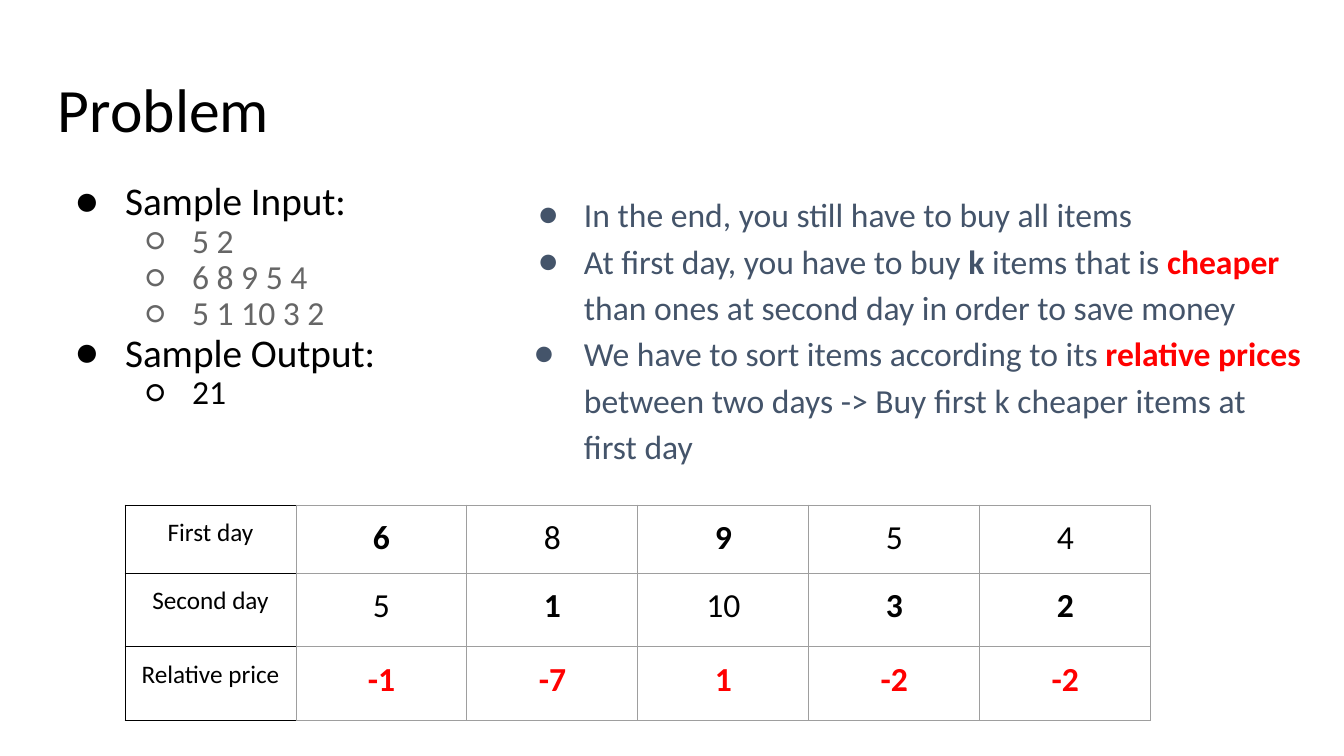
from dataclasses import dataclass
from lxml.etree import SubElement as Sub
from pptx import Presentation
from pptx.dml.color import RGBColor as Rgb
from pptx.enum.text import PP_ALIGN as Align
from pptx.oxml import parse_xml
from pptx.oxml.ns import nsdecls, qn
from pptx.util import Pt

SCALE = 914400 / 100.8


@dataclass(frozen=True)
class Theme:
    font: str = "Calibri"
    black: str = "000000"
    gray: str = "666666"
    slate: str = "44546A"
    red: str = "FF0000"
    rule: str = "9E9E9E"
    title: int = 44
    head: int = 28
    body: int = 24
    label: int = 18


THEME = Theme()
INSET = 13


def px(size):
    return round(size * SCALE)


def style(run, size, color, bold=False):
    font = run.font
    font.name = THEME.font
    font.size = Pt(size)
    font.bold = bold
    font.color.rgb = Rgb.from_string(color)


def add_box(slide, box):
    frame = slide.shapes.add_textbox(*map(px, box)).text_frame
    frame.word_wrap = True
    frame.margin_left = frame.margin_right = px(INSET)
    frame.margin_top = frame.margin_bottom = px(INSET)
    return frame


def add_bullet(para, mark, color, left, hang):
    props = para._p.get_or_add_pPr()
    props.set("marL", str(px(left)))
    props.set("indent", str(-px(hang)))
    tint = Sub(props, qn("a:buClr"))
    Sub(tint, qn("a:srgbClr")).set("val", color)
    Sub(props, qn("a:buFont")).set("typeface", THEME.font)
    Sub(props, qn("a:buChar")).set("char", mark)


def next_para(frame, index):
    return frame.add_paragraph() if index else frame.paragraphs[0]


def add_title(slide, box, text):
    para = add_box(slide, box).paragraphs[0]
    para.text = text
    para.line_spacing = 0.9
    style(para.runs[0], THEME.title, THEME.black)


def add_sample(slide, box, lines):
    frame = add_box(slide, box)
    for index, (level, text, color) in enumerate(lines):
        para = next_para(frame, index)
        para.text = text
        para.level = level
        para.line_spacing = 0.9
        mark, left, hang, size = (("●", 67, 50, THEME.head),
                                  ("○", 134, 46, THEME.body))[level]
        add_bullet(para, mark, color, left, hang)
        style(para.runs[0], size, color)


def add_notes(slide, box, points):
    frame = add_box(slide, box)
    for index, (hang, parts) in enumerate(points):
        para = next_para(frame, index)
        para.line_spacing = 1.15
        add_bullet(para, "●", THEME.slate, 67, hang)
        for text, color, bold in parts:
            run = para.add_run()
            run.text = text
            style(run, THEME.body, color, bold)


def add_rules(cell, first):
    props = cell._tc.get_or_add_tcPr()
    for spot, side in enumerate("LRTB"):
        color = THEME.black if first and side != "R" else THEME.rule
        line = parse_xml(
            f'<a:ln{side} {nsdecls("a")} w="9525"><a:solidFill>'
            f'<a:srgbClr val="{color}"/></a:solidFill></a:ln{side}>')
        props.insert(spot, line)


def add_prices(slide, box, rows, heights):
    grid = slide.shapes.add_table(len(rows), len(rows[0][0]), *map(px, box)).table
    grid.first_row = grid.horz_banding = False
    for col in grid.columns:
        col.width = px(box[2] // len(grid.columns))
    for r, (texts, color, strong) in enumerate(rows):
        grid.rows[r].height = px(heights[r])
        for c, text in enumerate(texts):
            cell = grid.cell(r, c)
            cell.fill.background()
            cell.margin_left = cell.margin_right = px(INSET)
            cell.margin_top = cell.margin_bottom = px(INSET)
            para = cell.text_frame.paragraphs[0]
            para.text = text
            para.alignment = Align.CENTER
            size = THEME.body if c else THEME.label
            style(para.runs[0], size, color if c else THEME.black, c in strong)
            add_rules(cell, c == 0)


def main():
    deck = Presentation()
    deck.slide_width, deck.slide_height = px(1344), px(756)
    slide = deck.slides.add_slide(deck.slide_layouts[6])
    black, gray, slate, red = THEME.black, THEME.gray, THEME.slate, THEME.red
    add_title(slide, (45, 66, 1252, 85), "Problem")
    add_sample(slide, (45, 169, 528, 299), [
        (0, "Sample Input:", black),
        (1, "5 2", gray),
        (1, "6 8 9 5 4", gray),
        (1, "5 1 10 3 2", gray),
        (0, "Sample Output:", black),
        (1, "21", black),
    ])
    add_notes(slide, (504, 175, 812, 555), [
        (46, [("In the end, you still have to buy all items", slate, False)]),
        (46, [("At first day, you have to buy ", slate, False),
              ("k ", slate, True),
              ("items that is ", slate, False),
              ("cheaper ", red, True),
              ("than ones at second day in order to save money", slate, False)]),
        (50, [("We have to sort items according to its ", slate, False),
              ("relative prices ", red, True),
              ("between two days -> Buy first k cheaper items at first day",
               slate, False)]),
    ])
    add_prices(slide, (125, 505, 1026, 216), [
        (("First day", "6", "8", "9", "5", "4"), black, (1, 3)),
        (("Second day", "5", "1", "10", "3", "2"), black, (2, 4, 5)),
        (("Relative price", "-1", "-7", "1", "-2", "-2"), red, range(1, 6)),
    ], (68, 74, 74))
    deck.save("out.pptx")


if __name__ == "__main__":
    main()
